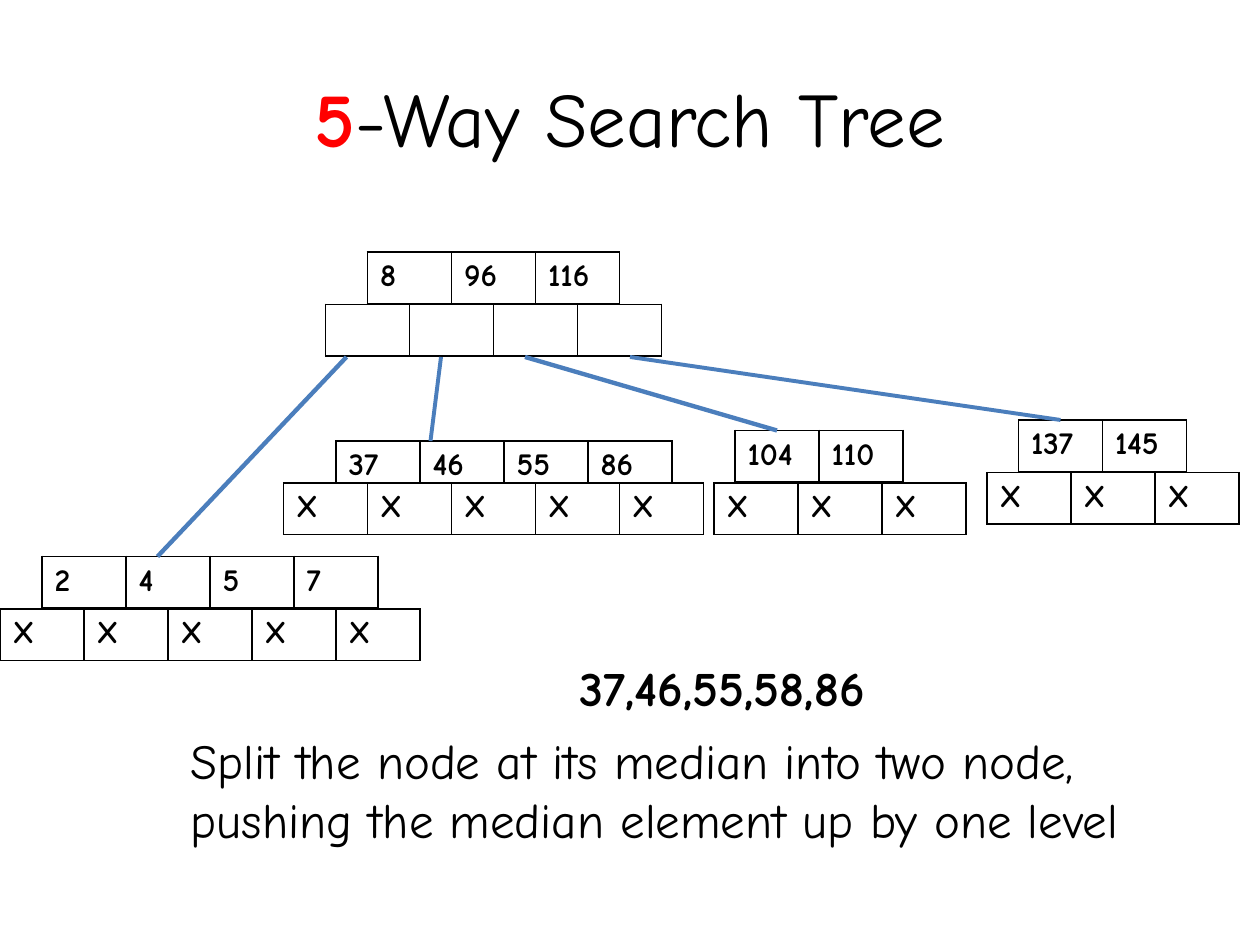
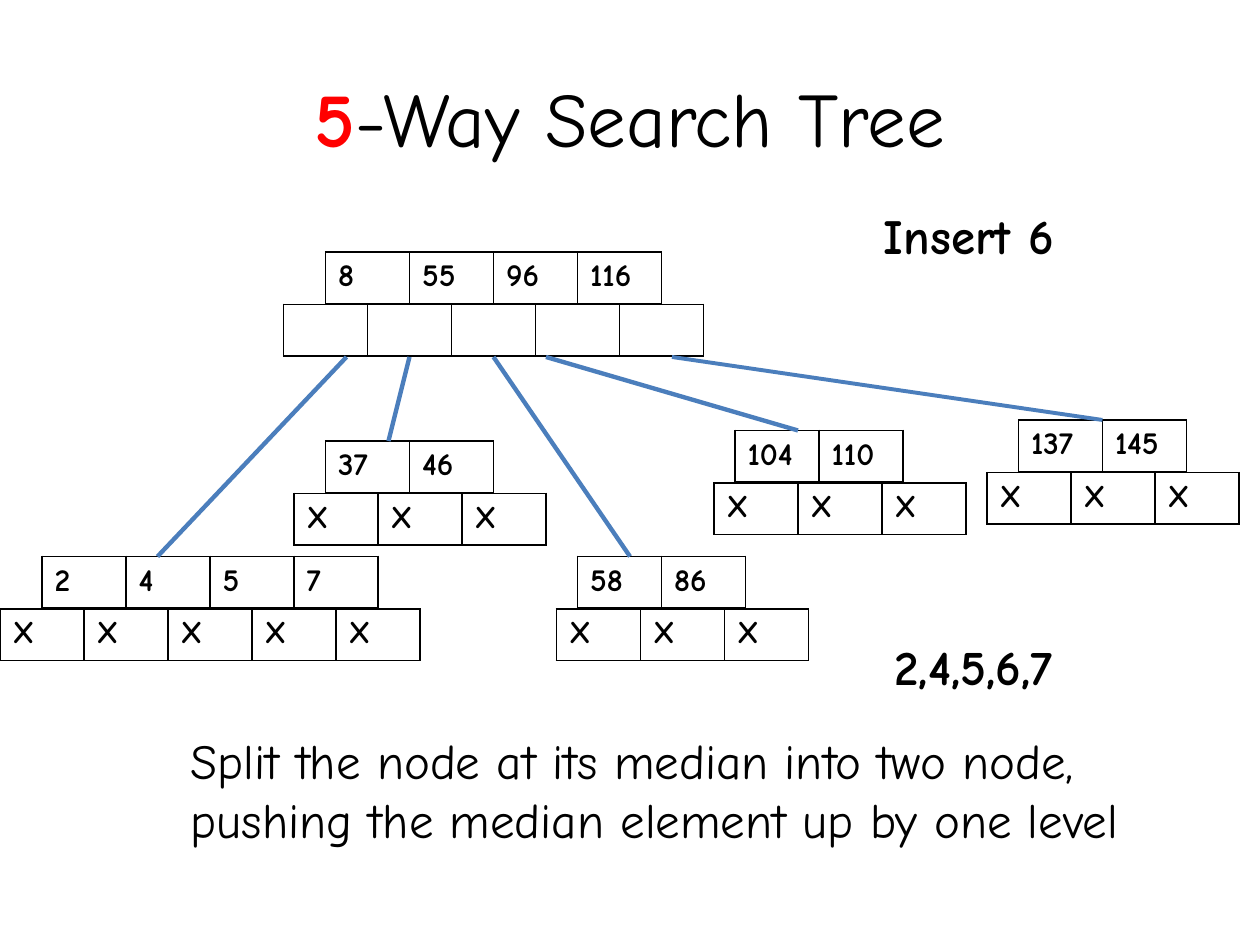
from dataclasses import dataclass

from lxml import etree
from pptx import Presentation
from pptx import util as u
from pptx.dml.color import RGBColor
from pptx.enum import shapes, text
from pptx.oxml import ns

COLOURS = {"ink": "000000", "paper": "FFFFFF", "accent": "FF0000", "link": "4B7EBC"}
FONT = "Comic Neue"

# Sizes in grid steps of a twelfth of an inch
CELL_WIDTH, CELL_HEIGHT = 8, 5
ROOT_TOP = 24
ROOT_BOTTOM = ROOT_TOP + 2 * CELL_HEIGHT


@dataclass(frozen=True)
class Link:
    start: int
    end: int
    width: float = 2.5


@dataclass(frozen=True)
class Node:
    keys: tuple[int, ...]
    left: int
    top: int
    link: Link | None = None  # line from the root; the root has none
    indent: int = 4  # how far the pointer row starts left of the keys
    key_height: int = CELL_HEIGHT


@dataclass(frozen=True)
class Caption:
    words: str
    left: int
    top: int
    width: int
    height: int = 7
    bold: bool = True


def grid(steps: float) -> u.Length:
    return u.Cm(steps * 2.54 / 12)


def colour(name: str) -> RGBColor:
    return RGBColor.from_string(COLOURS[name])


def style(font, size: float, bold: bool) -> None:
    font.name, font.size, font.bold = FONT, u.Pt(size), bold
    font.color.rgb = colour("ink")


def add_borders(cell) -> None:
    properties = cell._tc.get_or_add_tcPr()
    for index, side in enumerate(("lnL", "lnR", "lnT", "lnB")):
        line = etree.Element(ns.qn(f"a:{side}"), w=str(u.Pt(1)))
        fill = etree.SubElement(line, ns.qn("a:solidFill"))
        etree.SubElement(fill, ns.qn("a:srgbClr"), val=COLOURS["ink"])
        properties.insert(index, line)


def add_row(page, labels: list[str], left: int, top: int) -> None:
    frame = page.shapes.add_table(1, len(labels), grid(left), grid(top),
                                  grid(CELL_WIDTH * len(labels)), u.Cm(1.04))
    table = frame.table
    table.first_row = table.horz_banding = False
    for column, label in enumerate(labels):
        table.columns[column].width = grid(CELL_WIDTH)
        cell = table.cell(0, column)
        cell.fill.solid()
        cell.fill.fore_color.rgb = colour("paper")
        add_borders(cell)
        cell.text = label
        style(cell.text_frame.paragraphs[0].font, 18, True)


def add_node(page, node: Node) -> None:
    add_row(page, [str(key) for key in node.keys], node.left, node.top)
    pointer = "X" if node.link else ""
    add_row(page, [pointer] * (len(node.keys) + 1),
            node.left - node.indent, node.top + node.key_height)
    if node.link:
        add_link(page, node.link, node.top)


def add_link(page, link: Link, bottom: int) -> None:
    line = page.shapes.add_connector(
        shapes.MSO_CONNECTOR.STRAIGHT, grid(link.start), grid(ROOT_BOTTOM),
        grid(link.end), grid(bottom))
    line.line.color.rgb = colour("link")
    line.line.width = u.Pt(link.width)
    etree.SubElement(line._element.spPr, ns.qn("a:effectLst"))


def add_caption(page, caption: Caption) -> None:
    box = page.shapes.add_textbox(grid(caption.left), grid(caption.top),
                                  grid(caption.width), grid(caption.height))
    box.text_frame.word_wrap = True
    para = box.text_frame.paragraphs[0]
    para.text = caption.words
    style(para.font, 28, caption.bold)


def add_title(page) -> None:
    title = page.shapes.title
    title.left, title.top = u.Cm(1.27), u.Cm(0.76)
    title.width, title.height = u.Cm(22.86), u.Cm(3.18)
    title.text_frame.vertical_anchor = text.MSO_ANCHOR.MIDDLE
    para = title.text_frame.paragraphs[0]
    para.alignment = text.PP_ALIGN.CENTER
    style(para.font, 44, False)
    order = para.add_run()
    order.text = "5"
    order.font.bold = True
    order.font.color.rgb = colour("accent")
    para.add_run().text = "-Way Search Tree"


def add_page(deck, nodes: list[Node], captions: list[Caption]) -> None:
    page = deck.slides.add_slide(deck.slide_layouts[5])
    add_title(page)
    for node in nodes:
        add_node(page, node)
    for caption in captions:
        add_caption(page, caption)


# Parts that both slides show
SMALLEST = Node((2, 4, 5, 7), 4, 53, Link(33, 15))
RULE = Caption("Split the node at its median into two node, "
               "pushing the median element up by one level", 17, 69, 92, 18, bold=False)


def node_104(link: Link) -> Node:
    return Node((104, 110), 70, 41, link, indent=2)


def node_137(link: Link) -> Node:
    return Node((137, 145), 97, 40, link, indent=3)


def main() -> None:
    deck = Presentation()
    deck.slide_width, deck.slide_height = u.Cm(25.4), u.Cm(19.05)

    # Overfull node before the split
    add_page(deck, [
        Node((8, 96, 116), 35, ROOT_TOP),
        SMALLEST,
        Node((37, 46, 55, 86), 32, 42, Link(42, 41, 2.25), indent=5, key_height=4),
        node_104(Link(50, 74)),
        node_137(Link(60, 101, 2.25)),
    ], [Caption("37,46,55,58,86", 54, 62, 57), RULE])

    # After the split, with the next insertion
    add_page(deck, [
        Node((8, 55, 96, 116), 31, ROOT_TOP),
        SMALLEST,
        Node((37, 46), 31, 42, Link(39, 37), indent=3),
        Node((58, 86), 55, 53, Link(47, 60), indent=2),
        node_104(Link(52, 76)),
        node_137(Link(64, 105, 2.25)),
    ], [Caption("Insert 6", 83, 19, 28), Caption("2,4,5,6,7", 84, 60, 30), RULE])

    deck.save("out.pptx")


if __name__ == "__main__":
    main()
